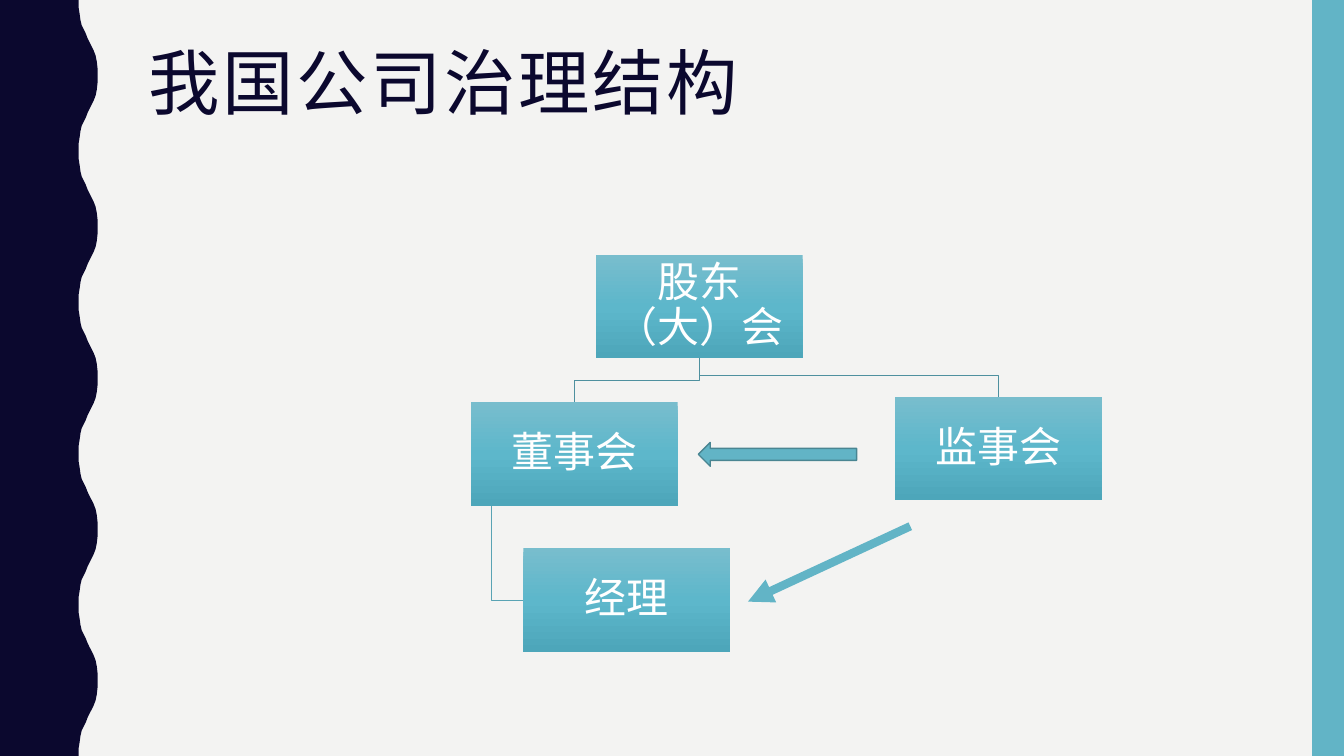
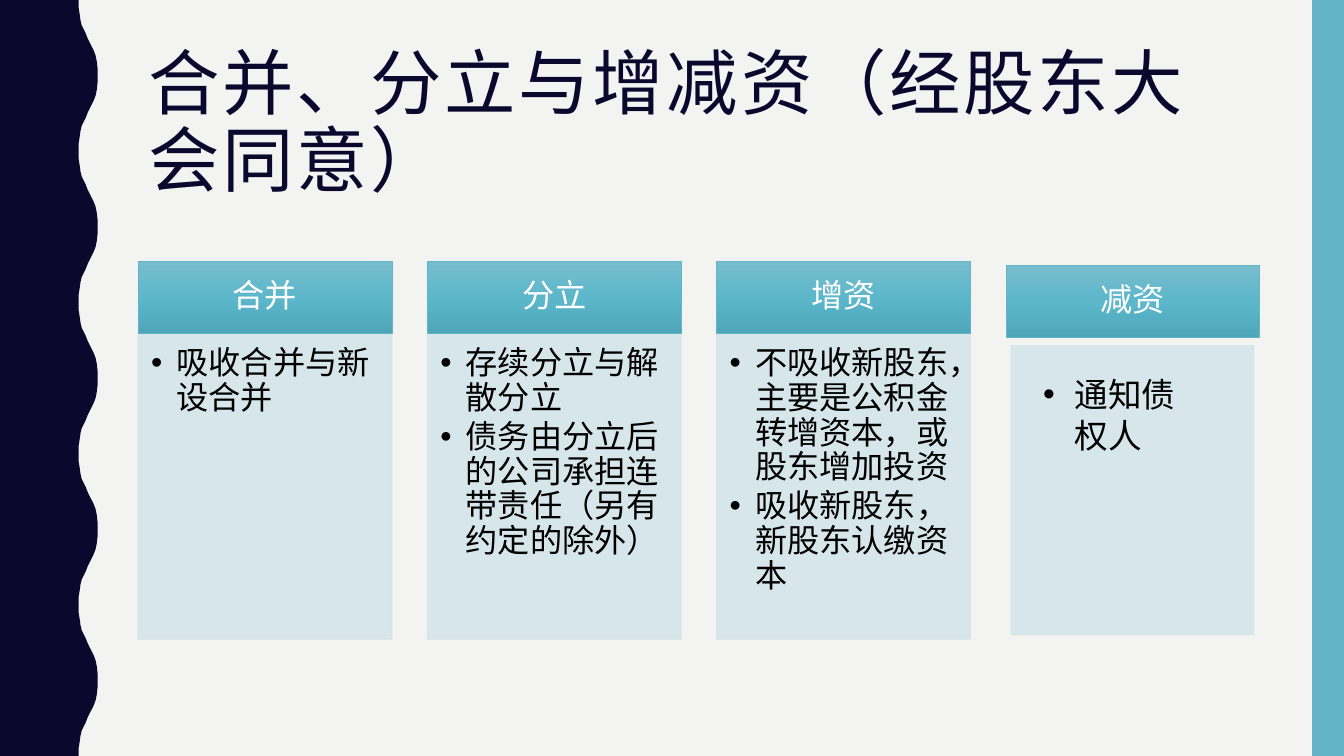
from copy import deepcopy
from dataclasses import dataclass

from lxml.etree import SubElement
from pptx import Presentation
from pptx.dml.color import RGBColor as Rgb
from pptx.enum.lang import MSO_LANGUAGE_ID as Language
from pptx.enum.shapes import MSO_CONNECTOR as Connector, MSO_SHAPE as Preset
from pptx.enum.text import MSO_ANCHOR as Anchor, MSO_AUTO_SIZE as AutoSize, PP_ALIGN as Align
from pptx.oxml.ns import qn
from pptx.shapes.autoshape import Shape
from pptx.slide import Slide, SlideLayout
from pptx.text.text import _Paragraph as Paragraph
from pptx.util import Cm, Pt


@dataclass(frozen=True)
class Theme:
    background: Rgb = Rgb.from_string("F3F3F2")
    navy: Rgb = Rgb.from_string("0B082E")
    teal: Rgb = Rgb.from_string("62B4C6")
    arrow_edge: Rgb = Rgb.from_string("498592")
    branch: Rgb = Rgb.from_string("4E909F")
    sub_branch: Rgb = Rgb.from_string("59A3B4")
    panel: Rgb = Rgb.from_string("D3E5EA")
    white: Rgb = Rgb.from_string("FFFFFF")
    black: Rgb = Rgb.from_string("000000")
    gradient: tuple[Rgb, ...] = tuple(map(Rgb.from_string, ("78BDCD", "5DB7CB", "4DA6BA")))
    title_font: str = "Roboto Condensed"
    body_font: str = "Calibri"
    title_size: float = 51
    box_size: float = 30
    column_size: float = 23
    note_size: float = 24
    tight: float = 0.9


@dataclass(frozen=True)
class Box:
    left: float
    top: float
    width: float
    height: float

    @property
    def center(self) -> float:
        return self.left + self.width / 2

    @property
    def middle(self) -> float:
        return self.top + self.height / 2

    @property
    def bottom(self) -> float:
        return self.top + self.height

    def lengths(self) -> tuple[Cm, ...]:
        return Cm(self.left), Cm(self.top), Cm(self.width), Cm(self.height)


@dataclass(frozen=True)
class PanelStyle:
    margins: tuple[float, float, float, float]
    size: float
    indent: float
    line_spacing: float


@dataclass(frozen=True)
class Column:
    heading: str
    points: tuple[str, ...]
    header: Box
    panel: Box
    style: PanelStyle


Point = tuple[float, float]

THEME = Theme()
SLIDE_WIDTH, SLIDE_HEIGHT = 33.87, 19.05
TITLE_BOX = Box(3.48, 1.07, 28.27, 4.14)
SIDE_BAND = Box(33.07, 0, 0.8, SLIDE_HEIGHT)
WAVE_COUNT = 5
HALF_WAVE: tuple[Point, ...] = (
    (1.98, 0), (1.98, 0.18), (2.01, 0.36), (2.03, 0.51), (2.06, 0.64),
    (2.11, 0.74), (2.16, 0.84), (2.21, 0.97), (2.26, 1.07), (2.31, 1.17),
    (2.36, 1.27), (2.41, 1.4), (2.44, 1.55), (2.46, 1.73),
)
COLUMN_STYLE = PanelStyle((0.33, 0.33, 0.45, 0.5), THEME.column_size, 0.64, THEME.tight)
NOTE_STYLE = PanelStyle((0.81, 0.72, 1.32, 0.13), THEME.note_size, 0.79, 1.0)


def add_polyline(slide: Slide, points: list[Point], close: bool) -> Shape:
    corners = [(Cm(x), Cm(y)) for x, y in points]
    builder = slide.shapes.build_freeform(*corners[0])
    builder.add_line_segments(corners[1:], close=close)
    shape = builder.convert_to_shape()
    shape.shadow.inherit = False
    return shape


def add_box(slide: Slide, box: Box, preset: Preset = Preset.RECTANGLE) -> Shape:
    shape = slide.shapes.add_shape(preset, *box.lengths())
    shape.shadow.inherit = False
    shape.line.fill.background()
    return shape


def fill_solid(shape: Shape, colour: Rgb) -> None:
    shape.fill.solid()
    shape.fill.fore_color.rgb = colour


def fill_gradient(shape: Shape) -> None:
    shape.fill.gradient()
    shape.fill.gradient_angle = 270
    stop_list = shape.element.spPr.find(".//" + qn("a:gsLst"))
    stop_list.insert(1, deepcopy(stop_list[0]))
    for index, (stop, colour) in enumerate(zip(shape.fill.gradient_stops, THEME.gradient)):
        stop.color.rgb = colour
        stop.position = index / 2


def set_line(shape: Shape, colour: Rgb, width: float) -> None:
    shape.line.color.rgb = colour
    shape.line.width = Pt(width)


def set_margins(shape: Shape, left: float, top: float, right: float, bottom: float) -> None:
    frame = shape.text_frame
    frame.word_wrap = True
    frame.margin_left, frame.margin_top = Cm(left), Cm(top)
    frame.margin_right, frame.margin_bottom = Cm(right), Cm(bottom)


def format_runs(paragraph: Paragraph, font_name: str, size: float, colour: Rgb) -> None:
    for run in paragraph.runs:
        run.font.name = font_name
        run.font.size = Pt(size)
        run.font.color.rgb = colour
        run.font.language_id = Language.SIMPLIFIED_CHINESE


def add_labelled_box(slide: Slide, box: Box, label: str, size: float,
                     margins: tuple[float, float, float, float]) -> Shape:
    shape = add_box(slide, box)
    fill_gradient(shape)
    set_margins(shape, *margins)
    shape.text_frame.vertical_anchor = Anchor.MIDDLE
    shape.text_frame.text = label
    paragraph = shape.text_frame.paragraphs[0]
    paragraph.alignment = Align.CENTER
    paragraph.line_spacing = THEME.tight
    format_runs(paragraph, THEME.body_font, size, THEME.white)
    return shape


def add_bullet(paragraph: Paragraph, indent: float) -> None:
    properties = paragraph._p.get_or_add_pPr()
    properties.set("marL", str(Cm(indent)))
    properties.set("indent", str(-Cm(indent)))
    SubElement(properties, qn("a:buFont")).set("typeface", "Arial")
    SubElement(properties, qn("a:buChar")).set("char", "•")


def add_column(slide: Slide, column: Column) -> None:
    panel, style = add_box(slide, column.panel), column.style
    fill_solid(panel, THEME.panel)
    set_line(panel, THEME.panel, 0.5)
    for colour in panel.element.spPr.iter(qn("a:srgbClr")):
        SubElement(colour, qn("a:alpha")).set("val", "90000")
    set_margins(panel, *style.margins)
    panel.text_frame.vertical_anchor = Anchor.TOP
    panel.text_frame.text = "\n".join(column.points)
    for paragraph in panel.text_frame.paragraphs:
        add_bullet(paragraph, style.indent)
        paragraph.alignment = Align.LEFT
        paragraph.line_spacing = style.line_spacing
        paragraph.space_after = Pt(3)
        format_runs(paragraph, THEME.body_font, style.size, THEME.black)
    header = add_labelled_box(slide, column.header, column.heading,
                              THEME.column_size, (0.45, 0.25, 0.45, 0.25))
    set_line(header, THEME.teal, 0.5)


def add_branch(slide: Slide, points: list[Point], colour: Rgb) -> None:
    branch = add_polyline(slide, points, close=False)
    branch.fill.background()
    set_line(branch, colour, 0.5)


def add_thick_arrow(slide: Slide, start: Point, end: Point) -> None:
    arrow = slide.shapes.add_connector(Connector.STRAIGHT, *map(Cm, start + end))
    arrow.line.color.rgb = THEME.teal
    arrow.line.width = Pt(6)
    properties = arrow.element.spPr
    SubElement(properties.find(qn("a:ln")), qn("a:tailEnd")).set("type", "triangle")
    SubElement(properties, qn("a:effectLst"))


def wave_outline() -> list[Point]:
    crest_x, crest_y = 2.46, SLIDE_HEIGHT / WAVE_COUNT / 2
    falling = [(x, 2 * crest_y - y) for x, y in reversed(HALF_WAVE)]
    wave = [*HALF_WAVE, (crest_x, crest_y), *falling]
    edge = [(x, y + index * 2 * crest_y) for index in range(WAVE_COUNT) for x, y in wave]
    return [(0, 0), *edge, (0, SLIDE_HEIGHT)]


def decorate_layout(layout: SlideLayout, slide: Slide) -> None:
    layout.background.fill.solid()
    layout.background.fill.fore_color.rgb = THEME.background
    wave = add_polyline(slide, wave_outline(), close=True)
    fill_solid(wave, THEME.navy)
    wave.line.fill.background()
    band = add_box(slide, SIDE_BAND)
    fill_solid(band, THEME.teal)
    layout_tree = layout.shapes.element
    for position, shape in enumerate((wave, band), start=2):
        layout_tree.insert(position, shape.element)


def set_title(slide: Slide, text: str) -> None:
    title = slide.shapes.title
    title.left, title.top, title.width, title.height = TITLE_BOX.lengths()
    frame = title.text_frame
    frame.text = text
    frame.word_wrap = True
    frame.auto_size = AutoSize.NONE
    frame.vertical_anchor = Anchor.TOP
    paragraph = frame.paragraphs[0]
    paragraph.alignment = Align.LEFT
    paragraph.line_spacing = THEME.tight
    format_runs(paragraph, THEME.title_font, THEME.title_size, THEME.navy)
    for run in paragraph.runs:
        run._r.get_or_add_rPr().set("spc", "200")


def build_governance(slide: Slide) -> None:
    set_title(slide, "我国公司治理结构")
    width, height = 5.21, 2.6
    shareholders = Box(15.02, 6.43, width, height)
    board = Box(11.87, 10.14, width, height)
    manager = Box(13.19, 13.82, width, height)
    supervisors = Box(22.56, 10.01, width, height)

    for child, bend in ((supervisors, 9.45), (board, 9.58)):
        add_branch(slide, [(shareholders.center, shareholders.bottom), (shareholders.center, bend),
                           (child.center, bend), (child.center, child.top)], THEME.branch)
    stem = board.left + width / 10
    add_branch(slide, [(stem, board.bottom), (stem, manager.middle),
                       (manager.left, manager.middle)], THEME.sub_branch)

    for box, label in ((shareholders, "股东（大）会"), (board, "董事会"),
                       (manager, "经理"), (supervisors, "监事会")):
        add_labelled_box(slide, box, label, THEME.box_size, (0.05, 0.05, 0.05, 0.05))

    oversight = add_box(slide, Box(17.6, 11.15, 3.99, 0.6), Preset.LEFT_ARROW)
    fill_solid(oversight, THEME.teal)
    set_line(oversight, THEME.arrow_edge, 1)
    add_thick_arrow(slide, (22.94, 13.26), (18.85, 15.16))


def build_capital_changes(slide: Slide) -> None:
    set_title(slide, "合并、分立与增减资（经股东大会同意）")
    left, pitch, width, top, header_height = 3.48, 7.29, 6.4, 6.58, 1.83
    contents = (
        ("合并", ("吸收合并与新设合并",)),
        ("分立", ("存续分立与解散分立", "债务由分立后的公司承担连带责任（另有约定的除外）")),
        ("增资", ("不吸收新股东，主要是公积金转增资本，或股东增加投资", "吸收新股东，新股东认缴资本")),
    )
    for index, (heading, points) in enumerate(contents):
        header = Box(left + index * pitch, top, width, header_height)
        panel = Box(header.left, header.bottom, width, 7.7)
        add_column(slide, Column(heading, points, header, panel, COLUMN_STYLE))
    reduction = Box(left + len(contents) * pitch, 6.68, width, header_height)
    add_column(slide, Column("减资", ("通知债权人",), reduction,
                             Box(25.48, 8.71, 6.12, 7.29), NOTE_STYLE))


def main() -> None:
    presentation = Presentation()
    presentation.slide_width, presentation.slide_height = Cm(SLIDE_WIDTH), Cm(SLIDE_HEIGHT)
    layout = presentation.slide_layouts[5]
    governance = presentation.slides.add_slide(layout)
    decorate_layout(layout, governance)
    build_governance(governance)
    build_capital_changes(presentation.slides.add_slide(layout))
    presentation.save("out.pptx")


if __name__ == "__main__":
    main()
